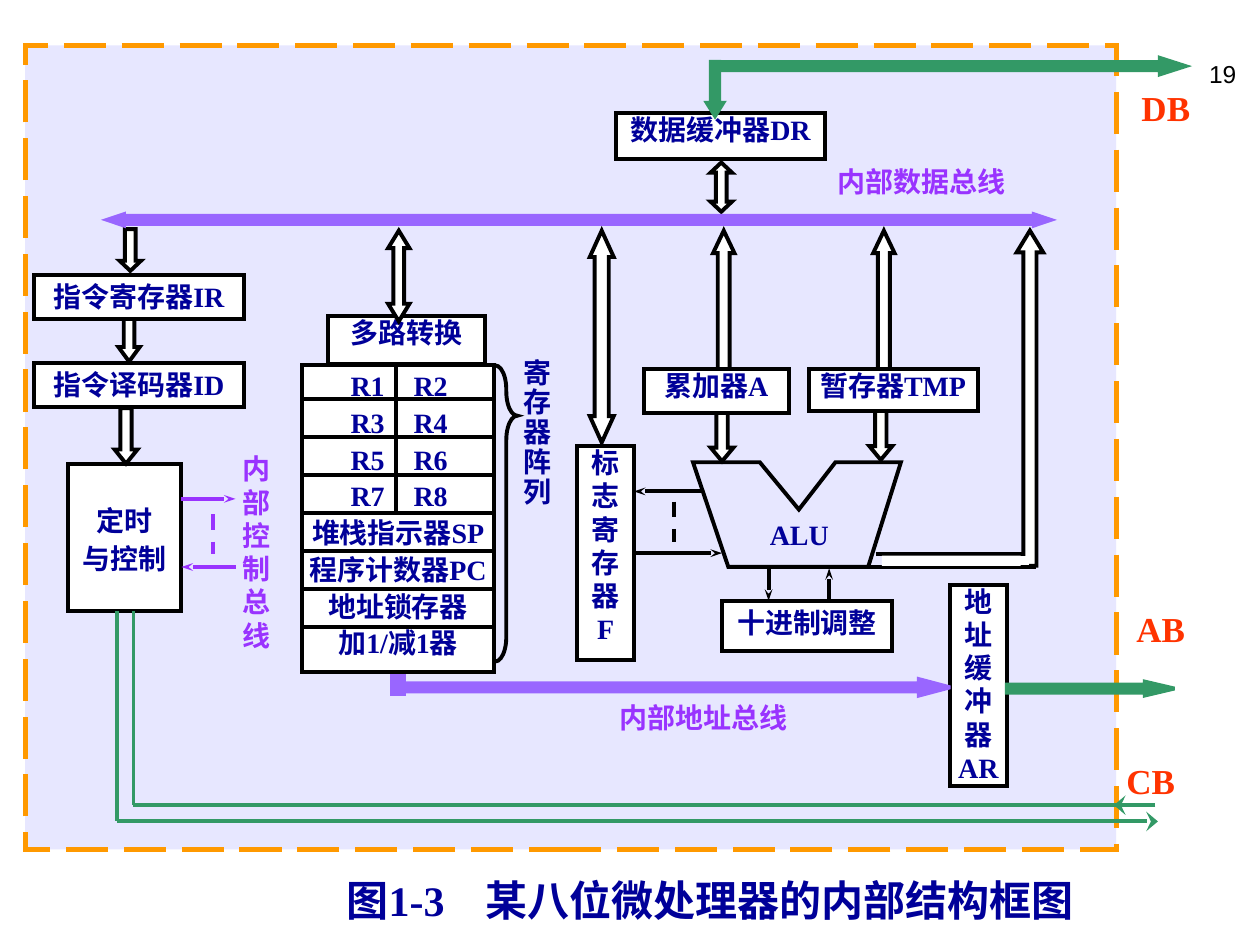
from dataclasses import dataclass
from typing import NamedTuple, Optional
from lxml.etree import SubElement
from pptx import Presentation
from pptx.dml.color import RGBColor
from pptx.enum.dml import MSO_LINE
from pptx.enum.shapes import MSO_CONNECTOR, MSO_SHAPE
from pptx.enum.text import MSO_ANCHOR, MSO_AUTO_SIZE, PP_ALIGN
from pptx.oxml.ns import qn
from pptx.util import Pt


@dataclass(frozen=True)
class Theme:
    black: str = "000000"
    white: str = "FFFFFF"
    panel: str = "E7E7FF"
    orange: str = "FF9900"
    navy: str = "000099"
    green: str = "339966"
    bus: str = "9966FF"
    violet: str = "9933FF"
    red: str = "FF3300"
    serif: str = "Times New Roman"
    sans: str = "Arial"
    cjk: str = "Noto Sans CJK SC"
    number: int = 14
    label: int = 16
    port: int = 20
    title: int = 24
    stroke: float = 2.25


T = Theme()


class Box(NamedTuple):
    x: float
    y: float
    w: float
    h: float


class Block(NamedTuple):
    box: Box
    text: str
    top: float = 0
    pitch: float = 19
    color: str = T.navy
    size: int = T.label
    framed: bool = True
    anchor: MSO_ANCHOR = MSO_ANCHOR.TOP


class Arrow(NamedTuple):
    kind: MSO_SHAPE
    box: Box
    shaft: float
    head: float
    fill: str = T.white
    line: str = T.black


class Line(NamedTuple):
    x1: float
    y1: float
    x2: float
    y2: float
    color: str = T.black
    arrow: bool = False
    dash: Optional[MSO_LINE] = None


def pts(values) -> list:
    return [Pt(v) for v in values]


def style(sp, fill: Optional[str], line: Optional[str], width: float = T.stroke) -> None:
    sp.shadow.inherit = False
    for part, color in ((sp.fill, fill), (sp.line.fill, line)):
        if color:
            part.solid()
            part.fore_color.rgb = RGBColor.from_string(color)
        else:
            part.background()
    if line:
        sp.line.width = Pt(width)
        SubElement(sp.line._get_or_add_ln(), qn("a:miter"), lim="800000")


def add_preset(shapes, kind, box: Box, fill, line, width: float = T.stroke):
    sp = shapes.add_shape(kind, *pts(box))
    style(sp, fill, line, width)
    return sp


def add_tabs(p, *stops: float) -> None:
    tabs = SubElement(p._p.get_or_add_pPr(), qn("a:tabLst"))
    for stop in stops:
        SubElement(tabs, qn("a:tab"), pos=str(Pt(stop)), algn="l")


def add_run(p, text: str, size: int, color: str, latin: str = T.serif, bold: bool = True) -> None:
    r = p.add_run()
    r.text = text
    r.font.size, r.font.bold, r.font.name = Pt(size), bold, latin
    r.font.color.rgb = RGBColor.from_string(color)
    SubElement(r._r.get_or_add_rPr(), qn("a:ea"), typeface=T.cjk)


def add_block(shapes, b: Block):
    """Draw a framed box or a bare label; tabbed lines are set in two columns."""
    sp = (add_preset(shapes, MSO_SHAPE.RECTANGLE, b.box, T.white, T.black) if b.framed
          else shapes.add_textbox(*pts(b.box)))
    tf = sp.text_frame
    tf.word_wrap, tf.vertical_anchor = True, b.anchor
    tf.margin_left = tf.margin_right = tf.margin_bottom = 0
    tf.margin_top = Pt(b.top)
    for i, row in enumerate(b.text.split("\n")):
        p = tf.add_paragraph() if i else tf.paragraphs[0]
        p.alignment = PP_ALIGN.CENTER if b.framed and "\t" not in row else PP_ALIGN.LEFT
        p.line_spacing = Pt(b.pitch)
        if "\t" in row:
            add_tabs(p, 27.5, 63.5)
        add_run(p, row, b.size, b.color)
    return sp


def add_arrow(shapes, a: Arrow) -> None:
    sp = add_preset(shapes, a.kind, a.box, a.fill, a.line)
    guides = sp._element.spPr.find(qn("a:prstGeom")).get_or_add_avLst()
    guides.clear()
    for name, value in (("adj1", a.shaft), ("adj2", a.head)):
        SubElement(guides, qn("a:gd"), name=name, fmla=f"val {round(value * 100000)}")


def add_line(shapes, ln: Line):
    cx = shapes.add_connector(MSO_CONNECTOR.STRAIGHT, *pts(ln[:4]))
    cx.line.color.rgb, cx.line.width = RGBColor.from_string(ln.color), Pt(T.stroke)
    if ln.dash:
        cx.line.dash_style = ln.dash
    if ln.arrow:
        size = "lg" if ln.color == T.green else "sm"
        SubElement(cx.line._get_or_add_ln(), qn("a:tailEnd"), type="stealth", w=size)
    SubElement(cx._element.spPr, qn("a:effectLst"))
    return cx


def label(box: Box, text: str, color: str, size: int = T.label, pitch: float = 19) -> Block:
    return Block(box, text, 0, pitch, color, size, False)


DOWN, UP, BOTH = MSO_SHAPE.DOWN_ARROW, MSO_SHAPE.UP_ARROW, MSO_SHAPE.UP_DOWN_ARROW
RIGHT, RECT = MSO_SHAPE.RIGHT_ARROW, MSO_SHAPE.RECTANGLE
FLAGS = Block(Box(329.8, 254.9, 32.4, 122.4), "标\n志\n寄\n存\n器\nF")
REGISTERS = Block(Box(172.8, 208.8, 109.4, 175), "\tR1\tR2\n\tR3\tR4\n\tR5\tR6\n\tR7\tR8\n"
                  "堆栈指示器SP\n程序计数器PC\n地址锁存器\n加1/减1器", pitch=21)
BACK_BLOCKS = [
    Block(Box(187.2, 180.7, 90, 27.4), "多路转换"), Block(Box(352.1, 64.8, 119.5, 25.9), "数据缓冲器DR"),
    Block(Box(38.9, 265, 64.8, 84.2), "定时\n与控制", pitch=21.8, anchor=MSO_ANCHOR.MIDDLE),
    Block(Box(542.9, 334.1, 32.4, 115.2), "地\n址\n缓\n冲\n器\nAR")]
ARROWS = [
    Arrow(DOWN, Box(406.1, 232.6, 13, 31), 0.5, 0.6), Arrow(DOWN, Box(496.8, 231.8, 13, 31), 0.5, 0.6),
    Arrow(DOWN, Box(67.7, 173.5, 12.2, 33.1), 0.5, 0.68), Arrow(DOWN, Box(65.5, 233.3, 13, 31.7), 0.5, 0.62),
    Arrow(DOWN, Box(68.4, 131, 12.2, 23.8), 0.5, 0.47), Arrow(BOTH, Box(406.1, 92.9, 12.2, 28.1), 0.5, 0.47),
    Arrow(BOTH, Box(221.8, 131.8, 12.2, 51.8), 0.5, 0.82), Arrow(BOTH, Box(337, 131.8, 13.7, 121), 0.59, 1.1),
    Arrow(UP, Box(407.5, 131.8, 12.2, 87.1), 0.56, 1.05), Arrow(UP, Box(499, 131.8, 12.2, 87.1), 0.56, 1.05),
    Arrow(UP, Box(581, 131.8, 15.1, 191.5), 0.5, 0.82),
    Arrow(RIGHT, Box(409.7, 33.1, 267.8, 9.4), 0.5, 1.56, T.green, T.green),
    Arrow(DOWN, Box(403.9, 35.3, 9.4, 31), 0.5, 0.8, T.green, T.green),
    Arrow(RIGHT, Box(575.3, 389.5, 95.8, 7.9), 0.58, 2.13, T.green, T.green),
    Arrow(RIGHT, Box(226.1, 388.1, 316.8, 9.4), 0.5, 1.89, T.bus, T.bus),
    Arrow(MSO_SHAPE.LEFT_RIGHT_ARROW, Box(61.2, 122.4, 539.3, 6.5), 0.7, 1.49, T.bus, T.bus)]
LINES = [
    Line(76.3, 349.2, 76.3, 460.1, T.green), Line(76.3, 460.1, 653.8, 460.1, T.green),
    Line(660.2, 460.1, 636.5, 460.1, T.green, True), Line(67, 349.2, 67, 469.4, T.green),
    Line(67, 469.4, 661.7, 469.4, T.green, True), Line(103.7, 285.1, 134.6, 285.1, T.violet, True),
    Line(134.6, 324, 103.7, 324, T.violet, True),
    Line(121.7, 293.8, 121.7, 316.8, T.violet, dash=MSO_LINE.DASH),
    Line(401, 280.8, 362.2, 280.8, arrow=True), Line(385.2, 286.6, 385.2, 309.6, dash=MSO_LINE.DASH),
    Line(439.2, 324.7, 439.2, 343.4, arrow=True), Line(473.8, 343.4, 473.8, 324.7, arrow=True),
    Line(500.4, 316.8, 584.6, 316.8), Line(496.8, 324, 591.8, 324)]
FRONT_BLOCKS = [
    label(Box(439.9, 295.9, 44.6, 33.1), "ALU", T.navy),
    label(Box(299, 205.2, 18.7, 91.4), "寄存器阵列", T.navy, pitch=17),
    label(Box(478.8, 94.3, 100.1, 19.4), "内部数据总线", T.violet),
    label(Box(354.2, 400.3, 100.1, 19.4), "内部地址总线", T.violet),
    label(Box(138.5, 258.5, 17.3, 115), "内部控制总线", T.violet),
    label(Box(652.3, 49.7, 47.5, 37.4), "DB", T.red, T.port, 24),
    label(Box(649.4, 347, 33.8, 28.8), "AB", T.red, T.port, 24),
    label(Box(643.7, 434.2, 40.3, 42.5), "CB", T.red, T.port, 24),
    Block(Box(412.6, 343.4, 97.2, 28.8), "十进制调整", 2.9), Block(Box(462.2, 211, 96.5, 23.8), "暂存器TMP"),
    Block(Box(367.9, 211, 82.8, 25.2), "累加器A"), Block(Box(19.4, 157, 120.2, 25.2), "指令寄存器IR", 2.9),
    Block(Box(19.4, 207.4, 120.2, 25.2), "指令译码器ID", 2.9), REGISTERS]
ALU = [(396, 264.2), (434.2, 264.2), (456.5, 291.2), (477.4, 264.2), (514.8, 264.2), (496.1, 324), (416.2, 324)]


def add_register_grid(shapes) -> None:
    x, y, w, _ = REGISTERS.box
    for i in range(7):
        row_y = 228.2 + 21.7 * i
        add_line(shapes, Line(x, row_y, x + w, row_y))
    add_line(shapes, Line(226.1, y, 226.1, 292.6))
    add_arrow(shapes, Arrow(MSO_SHAPE.RIGHT_BRACE, Box(283, y, 12.6, 169.2), 1.1, 0.17, None))


def add_caption(sp) -> None:
    sp.left, sp.top, sp.width, sp.height = pts(Box(190.8, 496.1, 500, 36))
    tf = sp.text_frame
    tf.auto_size, tf.word_wrap, tf.vertical_anchor = MSO_AUTO_SIZE.NONE, True, MSO_ANCHOR.MIDDLE
    p = tf.paragraphs[0]
    p.alignment = PP_ALIGN.LEFT
    add_tabs(p, 79.5)
    add_run(p, "图1-3\t某八位微处理器的内部结构框图", T.title, T.navy)


prs = Presentation()
prs.slide_width, prs.slide_height = Pt(720), Pt(540)
shapes = prs.slides.add_slide(prs.slide_layouts[5]).shapes
p = shapes.add_textbox(*pts(Box(563.8, 30.2, 149.8, 36))).text_frame.paragraphs[0]
p.alignment = PP_ALIGN.RIGHT
add_run(p, "19", T.number, T.black, T.sans, False)
chip = add_preset(shapes, RECT, Box(14.4, 25.9, 623.5, 459.4), T.panel, T.orange, 3)
chip.line.dash_style = MSO_LINE.LONG_DASH
alu = shapes.build_freeform(*pts(ALU[0]))
alu.add_line_segments([pts(point) for point in ALU[1:]], close=True)
style(alu.convert_to_shape(), None, T.black)
for block in BACK_BLOCKS:
    add_block(shapes, block)
flags = add_block(shapes, FLAGS)
add_preset(shapes, RECT, Box(223.9, 378, 7.2, 18.7), T.bus, T.bus)
for arrow in ARROWS:
    add_arrow(shapes, arrow)
for line in LINES:
    add_line(shapes, line)
flag_y = FLAGS.box.y + FLAGS.box.h / 2
add_line(shapes, Line(362.2, flag_y, 412.6, flag_y, arrow=True)).begin_connect(flags, 3)
for block in FRONT_BLOCKS:
    add_block(shapes, block)
add_register_grid(shapes)
add_preset(shapes, RECT, Box(583.2, 319, 3.6, 2.9), T.white, T.white)
add_preset(shapes, RECT, Box(504, 317.5, 79.2, 5.8), T.white, None)
add_caption(shapes.title)
prs.save("out.pptx")
